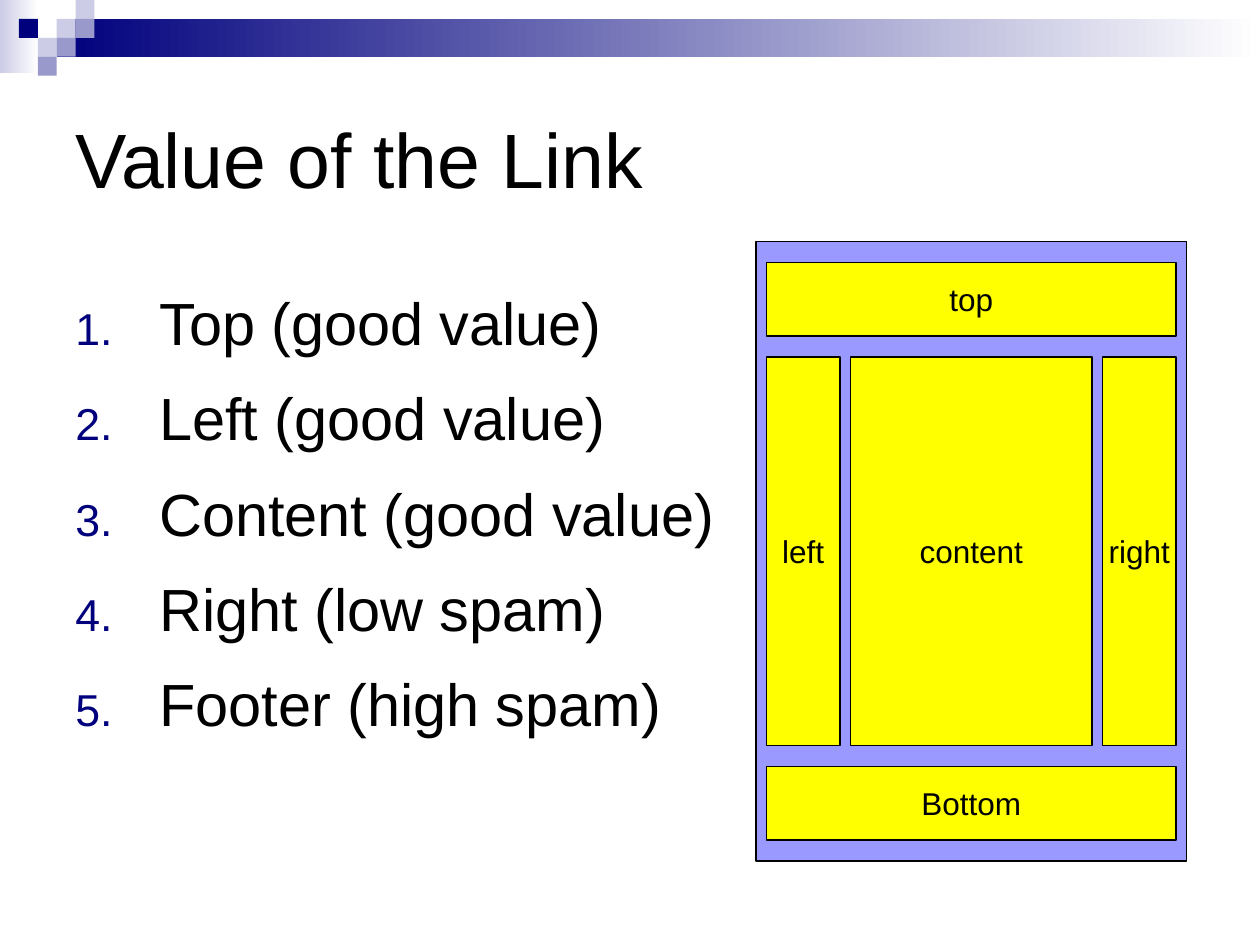
from dataclasses import dataclass

from lxml import etree
from pptx import Presentation
from pptx.dml.color import RGBColor
from pptx.enum.shapes import MSO_SHAPE
from pptx.enum.text import MSO_ANCHOR, PP_ALIGN
from pptx.oxml.ns import qn
from pptx.slide import Slide
from pptx.util import Pt

RECTANGLE = MSO_SHAPE.RECTANGLE
MIDDLE = MSO_ANCHOR.MIDDLE
CENTER = PP_ALIGN.CENTER

NAVY, LILAC, LAVENDER, WHITE = "00007D", "9999CC", "CCCCE6", "FFFFFF"
PERIWINKLE, YELLOW, BLACK = "9999FF", "FFFF00", "000000"

UNIT = 10.8
MOSAIC = [
    (3, 1, LAVENDER), (4, 0, LAVENDER), (4, 1, LILAC), (2, 2, LAVENDER),
    (1, 1, NAVY), (3, 2, LILAC), (2, 3, LILAC),
]
RANKING = [
    "Top (good value)", "Left (good value)", "Content (good value)",
    "Right (low spam)", "Footer (high spam)",
]


def color(value):
    """Turn a hex string into a colour."""
    return RGBColor.from_string(value)


def apply(target, values):
    """Set each attribute of the target from a dict."""
    for name, value in values.items():
        setattr(target, name, value)


@dataclass
class Painter:
    """Hold the style and the current slide."""

    slide: Slide
    font: str = "Arial"
    ink: str = BLACK

    def add_span(self, para, text, size):
        """Add a styled span to a paragraph."""
        span = para.add_run()
        span.text = text
        apply(span.font, {"name": self.font, "size": Pt(size)})
        span.font.color.rgb = color(self.ink)

    def rectangle(self, frame, fill, outlined=False):
        """Draw a plain rectangle and return it."""
        box = self.slide.shapes.add_shape(RECTANGLE, *map(Pt, frame))
        box.shadow.inherit = False
        box.fill.solid()
        box.fill.fore_color.rgb = color(fill)
        if outlined:
            box.line.color.rgb = color(self.ink)
            box.line.width = Pt(0.75)
        else:
            box.line.fill.background()
        return box

    def fade(self, frame, start, end):
        """Draw a rectangle that fades from left to right."""
        box = self.rectangle(frame, start)
        box.fill.gradient()
        box.fill.gradient_angle = 0
        for stop, value, position in zip(box.fill.gradient_stops, (start, end), (0, 1)):
            stop.color.rgb = color(value)
            stop.position = position

    def panel(self, frame, label):
        """Draw a labelled region of the page layout."""
        body = self.rectangle(frame, YELLOW, outlined=True).text_frame
        apply(body, {"word_wrap": False, "vertical_anchor": MIDDLE})
        para = body.paragraphs[0]
        para.alignment = CENTER
        self.add_span(para, label, 18)

    def text_box(self, frame, **values):
        """Add a wrapping text box and return its text frame."""
        body = self.slide.shapes.add_textbox(*map(Pt, frame)).text_frame
        apply(body, {"word_wrap": True, **values})
        return body

    def title(self, frame, text):
        """Add the slide title."""
        body = self.text_box(frame, vertical_anchor=MIDDLE)
        self.add_span(body.paragraphs[0], text, 44)

    def numbered_list(self, frame, items):
        """Add a list with small coloured numbers."""
        body = self.text_box(frame, margin_top=Pt(7.6))
        for index, item in enumerate(items):
            para = body.add_paragraph() if index else body.paragraphs[0]
            para.space_before = Pt(13.6 if index else 0)
            self.add_span(para, item, 34)
            self.number(para)

    def number(self, para):
        """Give a paragraph an automatic number and a hanging indent."""
        properties = para._p.get_or_add_pPr()
        properties.set("marL", str(Pt(48)))
        properties.set("indent", str(Pt(-48)))
        bullet_color = etree.SubElement(properties, qn("a:buClr"))
        etree.SubElement(bullet_color, qn("a:srgbClr"), val=NAVY)
        etree.SubElement(properties, qn("a:buSzPct"), val="75000")
        etree.SubElement(properties, qn("a:buFont"), typeface=self.font)
        etree.SubElement(properties, qn("a:buAutoNum"), type="arabicPeriod")


def draw_banner(painter):
    """Draw the fading bars and the mosaic at the top."""
    painter.fade((0, 0, 22, 42), LAVENDER, WHITE)
    painter.fade((3 * UNIT, UNIT, 720 - 3 * UNIT, 2 * UNIT), NAVY, WHITE)
    for column, row, fill in MOSAIC:
        painter.rectangle((column * UNIT, row * UNIT, UNIT, UNIT), fill)


def draw_page_layout(painter):
    """Draw the web page diagram with its five regions."""
    left, top, width, height = 432, 138, 246, 354
    gap, band = 6, 42
    painter.rectangle((left, top, width, height), PERIWINKLE, outlined=True)
    inner_left, inner_width = left + gap, width - 2 * gap
    row = top + 2 * gap
    painter.panel((inner_left, row, inner_width, band), "top")
    row += band + 2 * gap
    middle = height - 2 * band - 8 * gap
    column = inner_left
    content = inner_width - 2 * (band + gap)
    for label, span in (("left", band), ("content", content), ("right", band)):
        painter.panel((column, row, span, middle), label)
        column += span + gap
    row += middle + 2 * gap
    painter.panel((inner_left, row, inner_width, band), "Bottom")


def main():
    """Build and save the deck."""
    deck = Presentation()
    apply(deck, {"slide_width": Pt(720), "slide_height": Pt(540)})
    painter = Painter(deck.slides.add_slide(deck.slide_layouts[6]))
    draw_banner(painter)
    painter.title((36, 36, 648, 108), "Value of the Link")
    painter.numbered_list((36, 156, 396, 348), RANKING)
    draw_page_layout(painter)
    deck.save("out.pptx")


if __name__ == "__main__":
    main()
